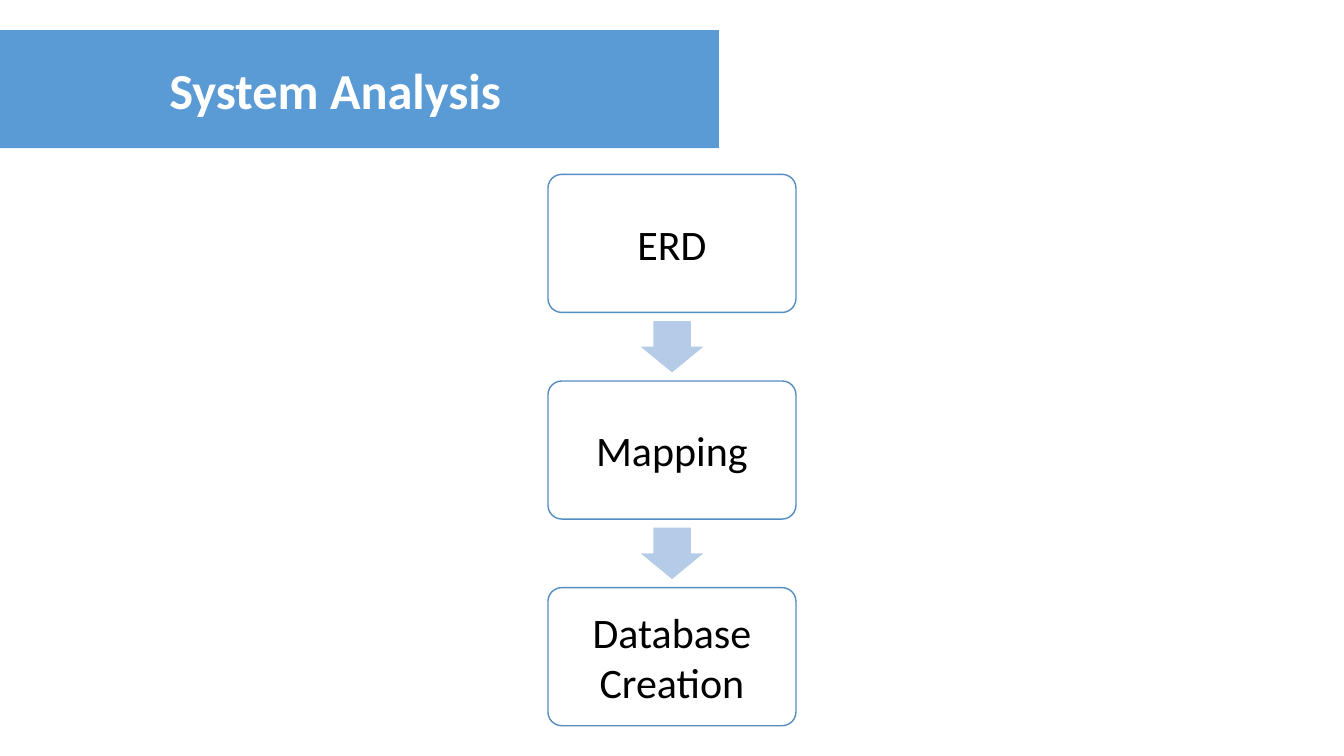
from pptx import Presentation
from pptx.dml.color import RGBColor
from pptx.enum.shapes import MSO_SHAPE as Shape
from pptx.enum.text import MSO_ANCHOR as Anchor, MSO_AUTO_SIZE as AutoSize, PP_ALIGN as Align
from pptx.util import Inches, Pt

WIDTH, HEIGHT = 13.33, 7.5
COLOURS = {
    "banner": "5B9BD5",
    "box": "FFFFFF",
    "outline": "538DC1",
    "arrow": "B5CBE7",
    "title": "FFFFFF",
    "label": "000000",
}
STEPS = ["ERD", "Mapping", "Database Creation"]
CENTRE = WIDTH / 2
FIRST_TOP, ROW_PITCH = 1.73, 2.05
BOX_WIDTH, BOX_HEIGHT = 2.46, 1.37
ARROW_LENGTH, ARROW_BREADTH = 0.51, 0.62


def colour(name):
    return RGBColor.from_string(COLOURS[name])


def fill_shape(shape, name):
    shape.fill.solid()
    shape.fill.fore_color.rgb = colour(name)


def write_text(shape, text, size, colour_name, bold=False, inset=0.1):
    frame = shape.text_frame
    frame.word_wrap = True
    frame.auto_size = AutoSize.NONE
    frame.vertical_anchor = Anchor.MIDDLE
    frame.margin_left = frame.margin_right = Inches(inset)
    frame.margin_top = frame.margin_bottom = Inches(inset)
    para = frame.paragraphs[0]
    para.alignment = Align.CENTER
    span = para.add_run()
    span.text = text
    span.font.name = "Calibri"
    span.font.size = Pt(size)
    span.font.bold = bold
    span.font.color.rgb = colour(colour_name)


def add_centred(page, kind, middle, width, height, fill):
    shape = page.shapes.add_shape(
        kind,
        Inches(CENTRE - width / 2),
        Inches(middle - height / 2),
        Inches(width),
        Inches(height),
    )
    shape.shadow.inherit = False
    fill_shape(shape, fill)
    return shape


def add_banner(page, text):
    banner = page.shapes.title
    banner.left, banner.top = Inches(-0.48), Inches(HEIGHT * 0.04)
    banner.width, banner.height = Inches(7.61), Inches(1.17)
    fill_shape(banner, "banner")
    write_text(banner, text, 36, "title", bold=True)


def add_step(page, text, middle):
    box = add_centred(page, Shape.ROUNDED_RECTANGLE, middle, BOX_WIDTH, BOX_HEIGHT, "box")
    box.adjustments[0] = 0.1
    box.line.color.rgb = colour("outline")
    box.line.width = Pt(1)
    write_text(box, text, 30, "label", inset=0.12)


def add_arrow(page, middle):
    arrow = add_centred(page, Shape.RIGHT_ARROW, middle, ARROW_LENGTH, ARROW_BREADTH, "arrow")
    arrow.rotation = 90
    arrow.adjustments[0] = 0.6
    arrow.adjustments[1] = 0.5
    arrow.line.fill.background()


def main():
    deck = Presentation()
    deck.slide_width, deck.slide_height = Inches(WIDTH), Inches(HEIGHT)
    page = deck.slides.add_slide(deck.slide_layouts.get_by_name("Title Only"))
    add_banner(page, "System Analysis")
    for row, text in enumerate(STEPS):
        middle = FIRST_TOP + BOX_HEIGHT / 2 + row * ROW_PITCH
        if row:
            add_arrow(page, middle - ROW_PITCH / 2)
        add_step(page, text, middle)
    deck.save("out.pptx")


if __name__ == "__main__":
    main()
